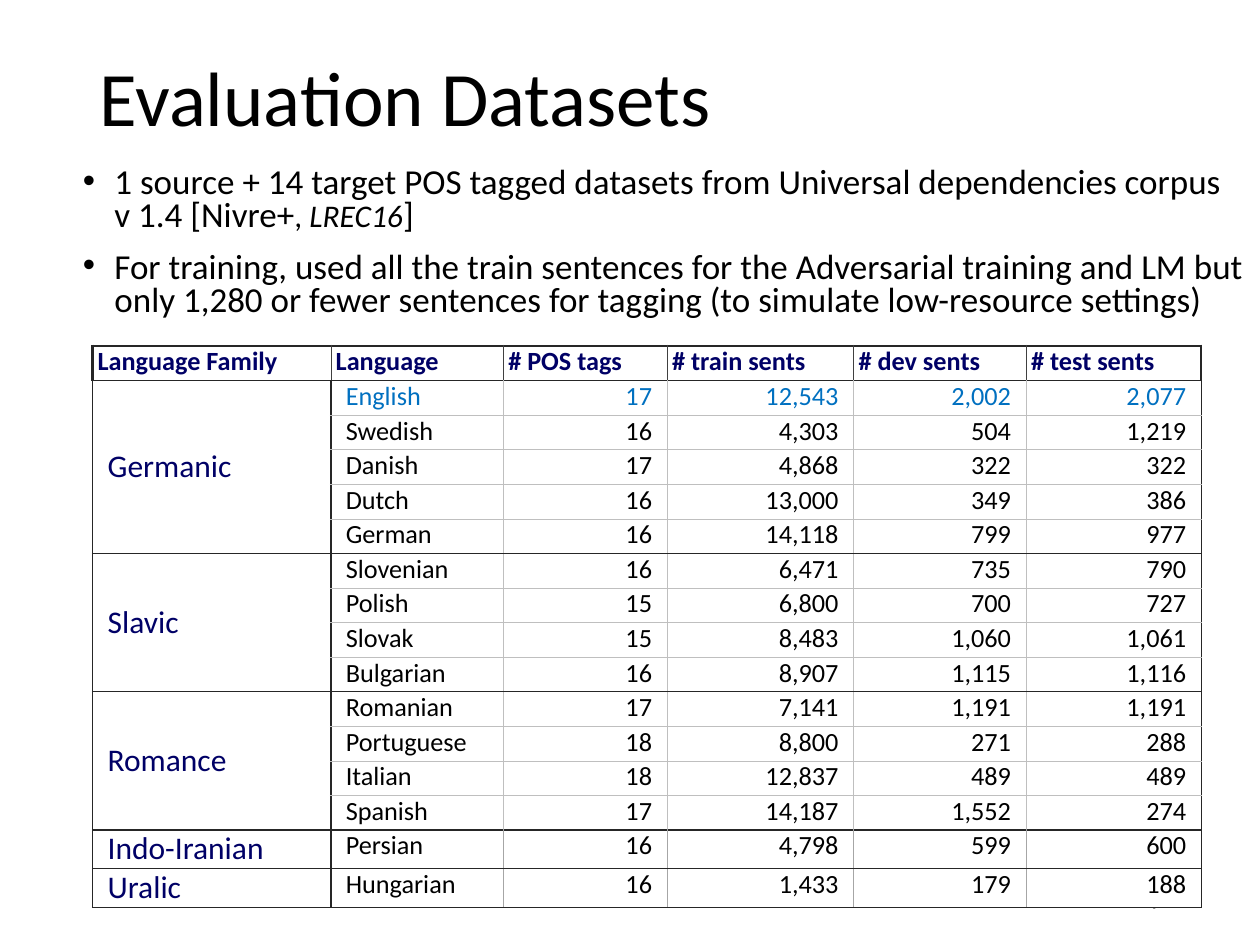
from dataclasses import dataclass

from lxml.etree import SubElement
from pptx import Presentation
from pptx.dml.color import RGBColor
from pptx.enum.text import MSO_ANCHOR, PP_ALIGN
from pptx.oxml.ns import qn
from pptx.util import Inches, Pt


@dataclass(frozen=True)
class Theme:
    """Colours, type sizes and line styles of the slide."""

    font: str = "Calibri"
    ink: str = "000000"
    paper: str = "FFFFFF"
    heading: str = "000066"
    source: str = "0070C0"
    number: str = "8C8C8C"
    title_size: int = 44
    bullet_size: int = 20
    citation_size: int = 18
    family_size: int = 18
    cell_size: int = 15
    number_size: int = 12
    outline: tuple = ("262626", 1.5)
    rule: tuple = ("262626", 1)
    header_rule: tuple = ("404040", 0.25)
    hairline: tuple = ("BFBFBF", 0.25)
    single_hairline: tuple = ("A6A6A6", 0.25)


THEME = Theme()
GRID_COLUMNS, GRID_ROWS = 1000, 750
UNIT = Inches(10) // GRID_COLUMNS
COLUMN_SPANS = (189, 137, 130, 148, 137, 139)
ROW_SPAN, SINGLE_ROW_SPAN = 27.45, 30.8

HEADERS = ("Language Family", "Language", "# POS tags",
           "# train sents", "# dev sents", "# test sents")
FAMILIES = {
    "Germanic": (("English", 17, 12543, 2002, 2077),
                 ("Swedish", 16, 4303, 504, 1219),
                 ("Danish", 17, 4868, 322, 322),
                 ("Dutch", 16, 13000, 349, 386),
                 ("German", 16, 14118, 799, 977)),
    "Slavic": (("Slovenian", 16, 6471, 735, 790),
               ("Polish", 15, 6800, 700, 727),
               ("Slovak", 15, 8483, 1060, 1061),
               ("Bulgarian", 16, 8907, 1115, 1116)),
    "Romance": (("Romanian", 17, 7141, 1191, 1191),
                ("Portuguese", 18, 8800, 271, 288),
                ("Italian", 18, 12837, 489, 489),
                ("Spanish", 17, 14187, 1552, 274)),
    "Indo-Iranian": (("Persian", 16, 4798, 599, 600),),
    "Uralic": (("Hungarian", 16, 1433, 179, 188),),
}
BULLETS = (
    (("1 source + 14 target POS tagged datasets from Universal dependencies corpus"
      "\nv 1.4 [Nivre+", THEME.bullet_size, False),
     (", ", THEME.citation_size, False),
     ("LREC16", THEME.citation_size, True),
     ("]", THEME.bullet_size, False)),
    (("For training, used all the train sentences for the Adversarial training and LM but"
      "\nonly 1,280 or fewer sentences for tagging (to simulate low-resource settings)",
      THEME.bullet_size, False),),
)


def grid(*cells):
    """Turn grid counts into slide lengths."""
    return [round(count * UNIT) for count in cells]


def style_font(font, size, color, bold=False, italic=False):
    """Apply the theme font with a size, colour and emphasis."""
    font.name, font.size = THEME.font, Pt(size)
    font.bold, font.italic = bold, italic
    font.color.rgb = RGBColor.from_string(color)


def add_title(page, text):
    """Place and format the title placeholder."""
    title = page.shapes.title
    title.left, title.top, title.width, title.height = grid(69, 40, 862, 82)
    title.text_frame.text = text
    title.text_frame.vertical_anchor = MSO_ANCHOR.MIDDLE
    para = title.text_frame.paragraphs[0]
    para.alignment, para.line_spacing = PP_ALIGN.LEFT, 0.9
    style_font(para.font, THEME.title_size, THEME.ink)


def add_page_number(page, text):
    """Add the page number at the lower right."""
    box = page.shapes.add_textbox(*grid(706, 695, 225, 40))
    box.text_frame.word_wrap = True
    box.text_frame.vertical_anchor = MSO_ANCHOR.MIDDLE
    para = box.text_frame.paragraphs[0]
    para.text, para.alignment = text, PP_ALIGN.RIGHT
    style_font(para.font, THEME.number_size, THEME.number)


def format_bullet(para):
    """Give a paragraph its bullet, hanging indent and spacing."""
    para.line_spacing, para.space_before = 0.8, Pt(10)
    properties = para._p.get_or_add_pPr()
    properties.set("marL", str(Inches(0.25)))
    properties.set("indent", str(-Inches(0.25)))
    SubElement(properties, qn("a:buFont"), typeface="Arial")
    SubElement(properties, qn("a:buChar"), char="•")


def add_bullets(page, bullets):
    """Add the bulleted text with its mixed spans."""
    box = page.shapes.add_textbox(*grid(56, 128, 944, 144))
    frame = box.text_frame
    frame.word_wrap, frame.margin_right = True, 0
    for index, spans in enumerate(bullets):
        para = frame.add_paragraph() if index else frame.paragraphs[0]
        format_bullet(para)
        for text, size, italic in spans:
            for line_index, line in enumerate(text.split("\n")):
                if line_index:
                    para.add_line_break()
                span = para.add_run()
                span.text = line
                style_font(span.font, size, THEME.ink, italic=italic)


def set_borders(cell, **edges):
    """Draw the edges of a cell from colour and width pairs."""
    properties = cell._tc.get_or_add_tcPr()
    for side in "LRTB":
        color, width = edges[side]
        line = SubElement(properties, qn(f"a:ln{side}"), w=str(Pt(width)))
        fill = SubElement(line, qn("a:solidFill"))
        SubElement(fill, qn("a:srgbClr"), val=color)


def fill_cell(cell, text, size, color, inset=12, bold=False, right=False):
    """Write a cell and set its insets and fill."""
    cell.margin_left, cell.margin_right = grid(inset, inset)
    cell.margin_top = cell.margin_bottom = 0
    cell.fill.solid()
    cell.fill.fore_color.rgb = RGBColor.from_string(THEME.paper)
    para = cell.text_frame.paragraphs[0]
    para.text = text
    para.alignment = PP_ALIGN.RIGHT if right else PP_ALIGN.LEFT
    style_font(para.font, size, color, bold)


def fill_header(table):
    """Write the header row."""
    last = len(HEADERS) - 1
    for column, text in enumerate(HEADERS):
        cell = table.cell(0, column)
        set_borders(cell, T=THEME.outline, B=THEME.rule,
                    L=THEME.header_rule if column else THEME.outline,
                    R=THEME.outline if column == last else THEME.header_rule)
        fill_cell(cell, text, THEME.cell_size, THEME.heading, inset=4, bold=True)


def fill_family(table, top, family, records):
    """Write one language family as a block of rows."""
    single = len(records) == 1
    thin = THEME.single_hairline if single else THEME.hairline
    verticals = (THEME.rule, THEME.outline, *[thin] * 4, THEME.rule)
    bottom = top + len(records) - 1
    for row, (language, *counts) in enumerate(records, top):
        table.rows[row].height = grid(SINGLE_ROW_SPAN if single else ROW_SPAN)[0]
        color = THEME.source if language == "English" else THEME.ink
        texts = ("", language, *[f"{count:,}" for count in counts])
        for column, text in enumerate(texts):
            cell = table.cell(row, column)
            set_borders(cell, L=verticals[column], R=verticals[column + 1],
                        T=THEME.rule if row == top or not column else thin,
                        B=THEME.rule if row == bottom or not column else thin)
            if column:
                fill_cell(cell, text, THEME.cell_size, color, right=column > 1)
    head = table.cell(top, 0)
    fill_cell(head, family, THEME.family_size, THEME.heading)
    if not single:
        head.merge(table.cell(bottom, 0))
        head.vertical_anchor = MSO_ANCHOR.MIDDLE


def add_dataset_table(page):
    """Add the table of datasets grouped by language family."""
    rows = 1 + sum(map(len, FAMILIES.values()))
    table = page.shapes.add_table(rows, len(HEADERS), *grid(73.5, 274.5, 879, 445)).table
    table.first_row = table.horz_banding = False
    for column, width in zip(table.columns, grid(*COLUMN_SPANS)):
        column.width = width
    table.rows[0].height = grid(ROW_SPAN)[0]
    fill_header(table)
    top = 1
    for family, records in FAMILIES.items():
        fill_family(table, top, family, records)
        top += len(records)


def main():
    """Build the slide and save it."""
    deck = Presentation()
    deck.slide_width, deck.slide_height = grid(GRID_COLUMNS, GRID_ROWS)
    page = deck.slides.add_slide(deck.slide_layouts[5])
    add_title(page, "Evaluation Datasets")
    add_page_number(page, "9")
    add_dataset_table(page)
    add_bullets(page, BULLETS)
    deck.save("out.pptx")


if __name__ == "__main__":
    main()
